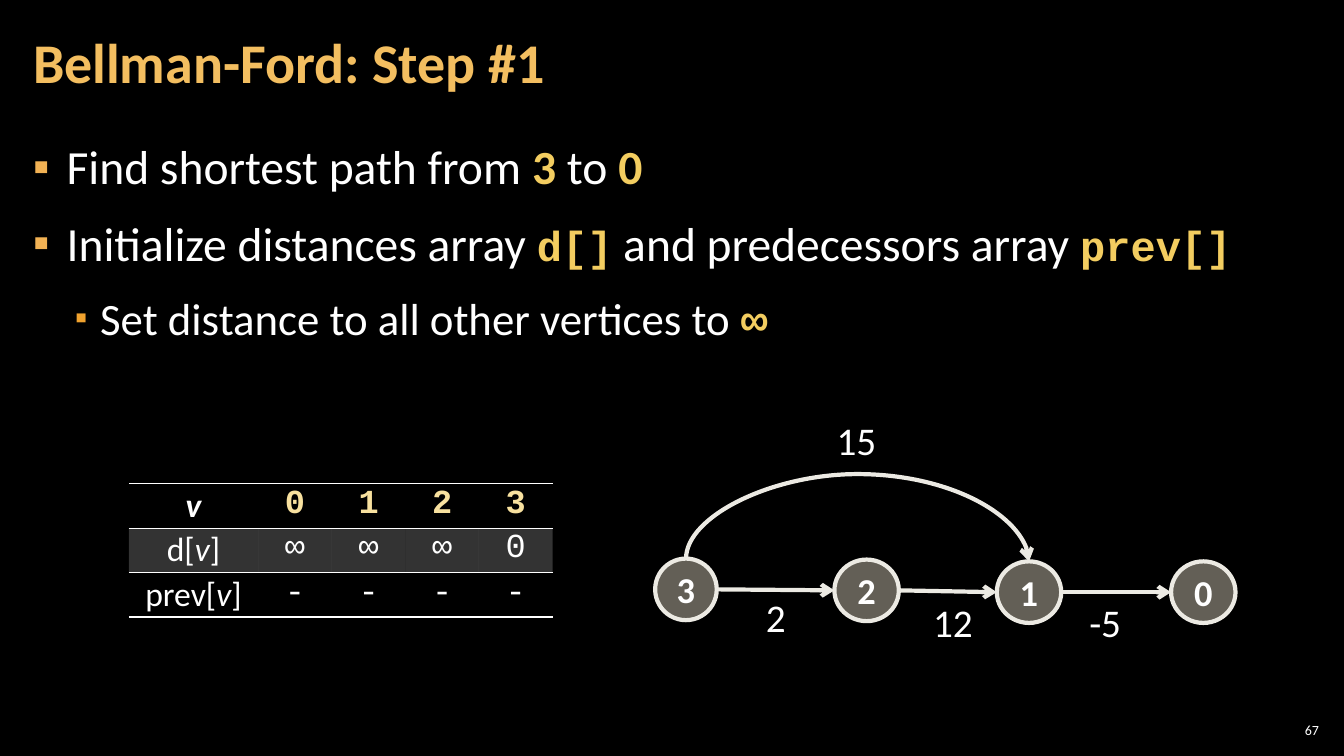
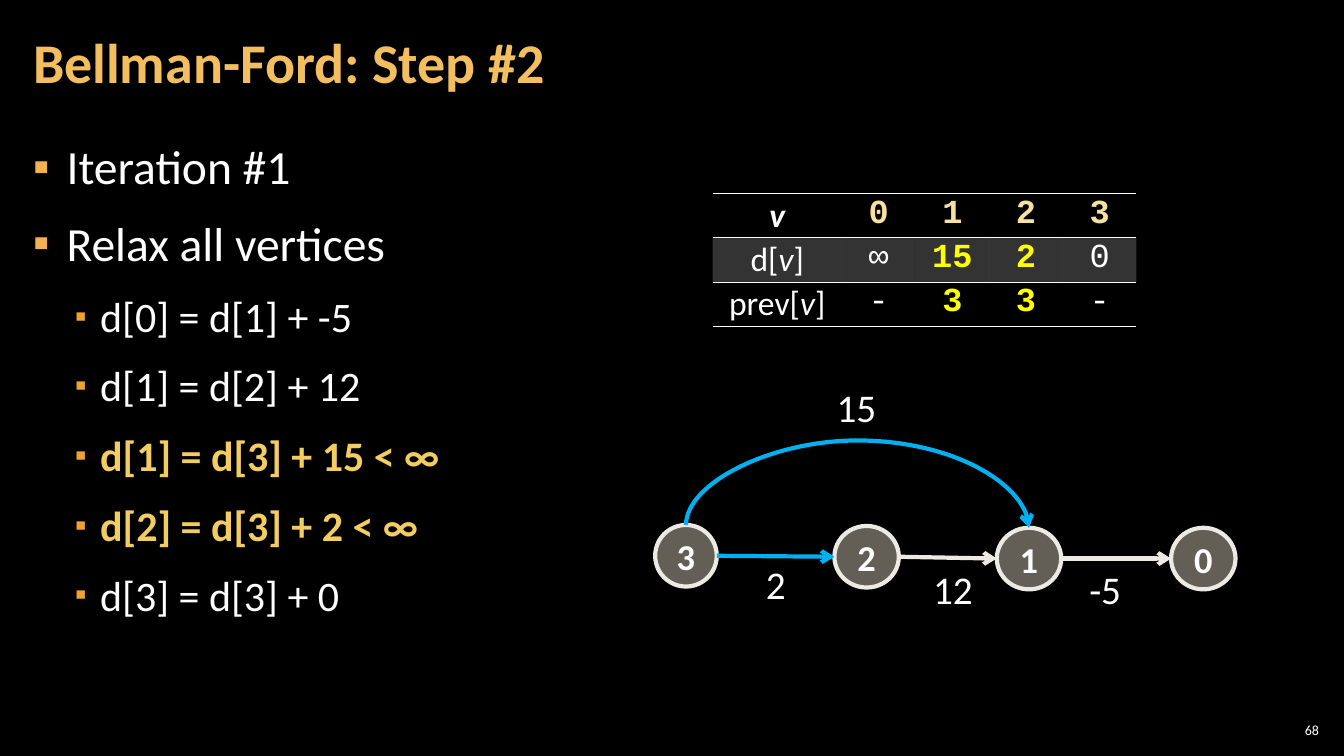
from pptx import Presentation
from pptx.dml.color import RGBColor
from pptx.enum.shapes import MSO_CONNECTOR as Connector, MSO_SHAPE as Shape
from pptx.enum.text import MSO_ANCHOR as Anchor, PP_ALIGN as Align
from pptx.oxml.ns import qn
from pptx.util import Pt
from lxml.etree import SubElement

COLORS = {
    "background": "000000", "text": "FFFFFF", "title": "F3BE60",
    "accent": "F3CD60", "bullet": "F2B254", "sub_bullet": "F0A22E",
    "column": "F8E19F", "update": "FFFF00", "node": "C7BFAC",
    "edge": "ECEAE3", "relaxed": "00B0F0",
}
SANS, MONO = "Calibri", "Courier New"

# Run styles
STRONG = {"bold": True, "color": "accent"}
CODE = {**STRONG, "font": MONO, "size": 30}
ITALIC = {"italic": True}
COLUMN = {"font": MONO, "bold": True, "color": "column"}
VALUE = {"font": MONO}
UPDATE = {"font": MONO, "bold": True, "color": "update"}

# Content: body lines are (level, size, runs); a run is a string or (string, style)
SLIDES = [
    {
        "number": "67", "title": "Bellman-Ford: Step #1",
        "body": [
            (0, 34, ["Find shortest path from ", ("3", STRONG), " to ", ("0", STRONG)]),
            (0, 34, ["Initialize distances array ", ("d[]", CODE),
                     " and predecessors array ", ("prev[]", CODE)]),
            (1, 32, ["Set distance to all other vertices to ",
                     ("∞", {**STRONG, "font": MONO})]),
        ],
        "table_at": (92, 345.6), "graph_top": 399, "relaxed": [],
        "distances": ["∞", "∞", "∞", "0"], "previous": ["-", "-", "-", "-"],
        "updated": [],
    },
    {
        "number": "68", "title": "Bellman-Ford: Step #2",
        "body": [
            (0, 34, ["Iteration #1"]),
            (0, 34, ["Relax all vertices"]),
            (1, 30, ["d[0] = d[1] + -5"]),
            (1, 30, ["d[1] = d[2] + 12"]),
            (1, 30, [("d[1] = d[3] + 15 < ∞", STRONG)]),
            (1, 30, [("d[2] = d[3] + 2 < ∞", STRONG)]),
            (1, 30, ["d[3] = d[3] + 0"]),
        ],
        "table_at": (509, 138.2), "graph_top": 375, "relaxed": ["3-2", "3-1"],
        "distances": ["∞", "15", "2", "0"], "previous": ["-", "3", "3", "-"],
        "updated": [1, 2],
    },
]

# Graph geometry: left, offset from the top of the graph, width
NODES = {"3": (468, 0, 44), "2": (596, 0.7, 46), "1": (712, 2, 46), "0": (836.5, 2, 46)}
NODE_HEIGHT = 44
STRAIGHT_EDGES = ["3-2", "2-1", "1-0"]
ARC_LIFT = 60
WEIGHTS = [("2", 540, 21.5), ("12", 659.5, 25), ("-5", 771, 25), ("15", 590.5, -105)]

COLUMN_WIDTHS = [92.4] + [52.6] * 4
ROW_HEIGHT = 31.7
PLAIN_TABLE = "{2D5ABB26-0587-4C30-8999-92F81FD0307C}"
BULLETS = [
    {"left": 24, "hang": 24, "color": "bullet", "percent": 100},
    {"left": 48, "hang": 18, "color": "sub_bullet", "percent": 80},
]


def rgb(name):
    return RGBColor.from_string(COLORS[name])


def write(paragraph, runs, size, font=SANS, color="text", bold=False, italic=False,
          align=Align.LEFT, spacing=None):
    """Write runs into a paragraph; each run may override the format."""
    paragraph.alignment = align
    if spacing:
        paragraph.line_spacing = spacing
    base = {"size": size, "font": font, "color": color, "bold": bold, "italic": italic}
    for item in [runs] if isinstance(runs, str) else runs:
        text, style = (item, {}) if isinstance(item, str) else item
        look = {**base, **style}
        run = paragraph.add_run()
        run.text = text
        run.font.name, run.font.size = look["font"], Pt(look["size"])
        run.font.bold, run.font.italic = look["bold"], look["italic"]
        run.font.color.rgb = rgb(look["color"])


def set_frame(frame, horizontal, vertical, anchor):
    frame.word_wrap = True
    frame.margin_left = frame.margin_right = Pt(horizontal)
    frame.margin_top = frame.margin_bottom = Pt(vertical)
    frame.vertical_anchor = anchor
    return frame


def add_box(slide, left, top, width, height, horizontal=7.2, vertical=3.6, anchor=Anchor.TOP):
    box = slide.shapes.add_textbox(Pt(left), Pt(top), Pt(width), Pt(height))
    return set_frame(box.text_frame, horizontal, vertical, anchor)


def fill_translucent(fill, color, percent, properties):
    fill.solid()
    fill.fore_color.rgb = rgb(color)
    color_element = properties.find(qn("a:solidFill"))[0]
    SubElement(color_element, qn("a:alpha"), val=str(percent * 1000))


def add_bullet(paragraph, left, hang, color, percent):
    properties = paragraph._p.get_or_add_pPr()
    properties.set("marL", str(Pt(left)))
    properties.set("indent", str(-Pt(hang)))
    SubElement(SubElement(properties, qn("a:buClr")), qn("a:srgbClr"), val=COLORS[color])
    SubElement(properties, qn("a:buSzPct"), val=str(percent * 1000))
    SubElement(properties, qn("a:buFont"), typeface="Arial")
    SubElement(properties, qn("a:buChar"), char="▪")


def add_body(slide, lines):
    frame = add_box(slide, 15, 93, 930, 436, 8.6, 2.9)
    for index, (level, size, runs) in enumerate(lines):
        paragraph = frame.add_paragraph() if index else frame.paragraphs[0]
        add_bullet(paragraph, **BULLETS[level])
        paragraph.level = level
        paragraph.space_before = Pt(6 if index else 0)
        paragraph.space_after = Pt(6)
        write(paragraph, runs, size, spacing=1.05)


def add_border(properties, position, side):
    """Insert a white cell border ahead of the cell fill."""
    line = SubElement(properties, qn(f"a:{side}"), w=str(Pt(1)))
    fill = SubElement(line, qn("a:solidFill"))
    SubElement(fill, qn("a:srgbClr"), val=COLORS["text"])
    properties.insert(position, line)


def add_distance_table(slide, content):
    def values(items):
        return [[(text, UPDATE if index in content["updated"] else VALUE)]
                for index, text in enumerate(items)]

    rows = [
        [[("v", {"bold": True, "italic": True})]] + [[(vertex, COLUMN)] for vertex in "0123"],
        [["d[", ("v", ITALIC), "]"]] + values(content["distances"]),
        [["prev[", ("v", ITALIC), "]"]] + values(content["previous"]),
    ]
    left, top = content["table_at"]
    table = slide.shapes.add_table(
        len(rows), len(COLUMN_WIDTHS), Pt(left), Pt(top),
        Pt(sum(COLUMN_WIDTHS)), Pt(ROW_HEIGHT * len(rows))).table
    table._tbl.tblPr.find(qn("a:tableStyleId")).text = PLAIN_TABLE
    for column, width in zip(table.columns, COLUMN_WIDTHS):
        column.width = Pt(width)
    for row_index, row in enumerate(rows):
        table.rows[row_index].height = Pt(ROW_HEIGHT)
        for column_index, runs in enumerate(row):
            cell = table.cell(row_index, column_index)
            cell.margin_left = cell.margin_right = Pt(2.9)
            cell.margin_top = cell.margin_bottom = Pt(1.2)
            write(cell.text_frame.paragraphs[0], runs, 24, align=Align.CENTER)
            properties = cell._tc.get_or_add_tcPr()
            if row_index == 1:
                fill_translucent(cell.fill, "text", 20, properties)
            else:
                cell.fill.background()
            for position, side in enumerate(("lnT", "lnB")):
                add_border(properties, position, side)


def add_node(slide, name, top):
    left, offset, width = NODES[name]
    node = slide.shapes.add_shape(
        Shape.OVAL, Pt(left), Pt(top + offset), Pt(width), Pt(NODE_HEIGHT))
    node.shadow.inherit = False
    fill_translucent(node.fill, "node", 50, node._element.spPr)
    node.line.color.rgb = rgb("edge")
    node.line.width = Pt(3)
    frame = set_frame(node.text_frame, 2.9, 3.6, Anchor.MIDDLE)
    write(frame.paragraphs[0], name, 26, bold=True, align=Align.CENTER)


def add_edge(slide, kind, start, end, color):
    edge = slide.shapes.add_connector(kind, *(Pt(value) for value in (*start, *end)))
    edge.line.color.rgb = rgb(color)
    edge.line.width = Pt(3)
    properties = edge._element.spPr
    SubElement(properties.find(qn("a:ln")), qn("a:tailEnd"), type="arrow")
    SubElement(properties, qn("a:effectLst"))
    return edge


def node_point(name, top, across, down):
    """Point on a node's frame, given as fractions of its size."""
    left, offset, width = NODES[name]
    return left + across * width, top + offset + down * NODE_HEIGHT


def add_arc(slide, top, color):
    """Curve from the top of node 3, over node 2, to the top of node 1."""
    (x1, y1), (x2, y2) = [node_point(name, top, 0.5, 0) for name in "31"]
    span, drop = x2 - x1, y2 - y1
    arc = add_edge(slide, Connector.CURVE, (x1, y1), (x2, y2), color)
    # A quarter turn swaps the sides of the frame around its centre
    arc.left, arc.top = Pt((x1 + x2 - drop) / 2), Pt((y1 + y2 - span) / 2)
    arc.width, arc.height = Pt(drop), Pt(span)
    properties = arc._element.spPr
    frame = properties.find(qn("a:xfrm"))
    frame.set("rot", str(270 * 60000))
    frame.set("flipH", "1")
    adjustments = properties.find(qn("a:prstGeom")).find(qn("a:avLst"))
    SubElement(adjustments, qn("a:gd"), name="adj1",
               fmla=f"val {round(-ARC_LIFT / drop * 100000)}")


def add_graph(slide, top, relaxed):
    def edge_color(name):
        return "relaxed" if name in relaxed else "edge"

    for name in NODES:
        add_node(slide, name, top)
    for name in STRAIGHT_EDGES:
        source, target = name.split("-")
        add_edge(slide, Connector.STRAIGHT, node_point(source, top, 1, 0.5),
                 node_point(target, top, 0, 0.5), edge_color(name))
    add_arc(slide, top, edge_color("3-1"))
    for weight, left, offset in WEIGHTS:
        frame = add_box(slide, left, top + offset, 47, 41)
        write(frame.paragraphs[0], weight, 28)


def add_title_and_number(slide, title, number):
    frame = add_box(slide, 15, 3, 754, 87, 8.6, 2.9, Anchor.MIDDLE)
    write(frame.paragraphs[0], title, 40, color="title", bold=True, spacing=0.9)
    frame = add_box(slide, 911, 514, 34, 15, 2.9, 2.9, Anchor.MIDDLE)
    write(frame.paragraphs[0], number, 10, align=Align.RIGHT)


def main():
    presentation = Presentation()
    presentation.slide_width, presentation.slide_height = Pt(960), Pt(540)
    background = presentation.slide_master.background.fill
    background.solid()
    background.fore_color.rgb = rgb("background")
    for content in SLIDES:
        slide = presentation.slides.add_slide(presentation.slide_layouts[6])
        add_title_and_number(slide, content["title"], content["number"])
        add_body(slide, content["body"])
        add_graph(slide, content["graph_top"], content["relaxed"])
        add_distance_table(slide, content)
    presentation.save("out.pptx")


if __name__ == "__main__":
    main()
